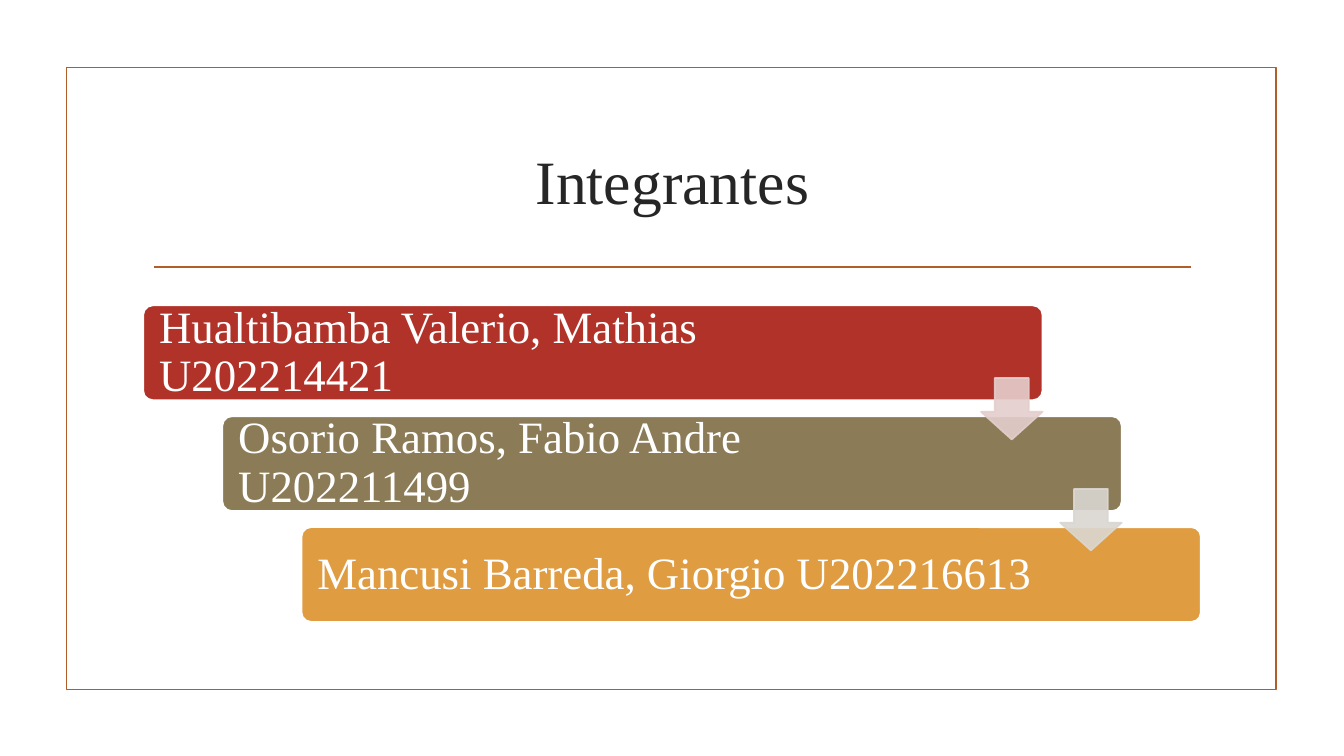
from dataclasses import dataclass

import lxml.etree
import pptx
import pptx.dml.color
import pptx.enum.shapes
import pptx.enum.text
import pptx.oxml.ns
import pptx.presentation
import pptx.shapes.autoshape
import pptx.slide
import pptx.text.text
import pptx.util

Inches = pptx.util.Inches
Pt = pptx.util.Pt
Shapes = pptx.enum.shapes.MSO_SHAPE
Align = pptx.enum.text.PP_ALIGN
FONT = "Times New Roman"
RUST = "B15E28"
WHITE = "FFFFFF"
LINE_WIDTH = 1.25
STEP_X, STEP_Y = 0.785, 1.1
TEXT_INSET = 0.13


@dataclass(frozen=True)
class Member:
    label: str
    fill: str
    right_inset: float


MEMBERS = [
    Member("Hualtibamba Valerio, Mathias U202214421", "B13228", 1.09),
    Member("Osorio Ramos, Fabio Andre U202211499", "8B7B56", 1.53),
    Member("Mancusi Barreda, Giorgio U202216613", "E09C41", 1.53),
]
ARROW_COLOURS = ["E4CECD", "DAD7D1"]


def rgb(value: str) -> pptx.dml.color.RGBColor:
    return pptx.dml.color.RGBColor.from_string(value)


def add_box(
    page: pptx.slide.Slide,
    kind: Shapes,
    place: tuple[float, float, float, float],
    fill: str | None,
    line: str,
    adjustments: tuple[float, ...] = (),
) -> pptx.shapes.autoshape.Shape:
    box = page.shapes.add_shape(kind, *(Inches(length) for length in place))
    box.shadow.inherit = False
    if fill is None:
        box.fill.background()
    else:
        box.fill.solid()
        box.fill.fore_color.rgb = rgb(fill)
    box.line.color.rgb = rgb(line)
    box.line.width = Pt(LINE_WIDTH)
    for index, value in enumerate(adjustments):
        box.adjustments[index] = value
    return box


def style_text(para: pptx.text.text._Paragraph, size: float, colour: str, align: Align) -> None:
    para.alignment = align
    para.font.name = FONT
    para.font.size = Pt(size)
    para.font.color.rgb = rgb(colour)


def add_title(page: pptx.slide.Slide) -> None:
    title = page.shapes.title
    title.left, title.top = Inches(1.42), Inches(1.07)
    title.width, title.height = Inches(10.5), Inches(1.43)
    title.text_frame.text = "Integrantes"
    title.text_frame.vertical_anchor = pptx.enum.text.MSO_ANCHOR.MIDDLE
    style_text(title.text_frame.paragraphs[0], 44, "262626", Align.CENTER)


def add_rule(page: pptx.slide.Slide) -> None:
    rule = page.shapes.add_connector(
        pptx.enum.shapes.MSO_CONNECTOR.STRAIGHT,
        Inches(1.53), Inches(2.65), Inches(11.81), Inches(2.65),
    )
    rule.line.color.rgb = rgb(RUST)
    rule.line.width = Pt(LINE_WIDTH)
    lxml.etree.SubElement(rule._element.spPr, pptx.oxml.ns.qn("a:effectLst"))


def add_member(page: pptx.slide.Slide, member: Member, index: int) -> None:
    place = (1.42 + index * STEP_X, 3.03 + index * STEP_Y, 8.92, 0.94)
    box = add_box(page, Shapes.ROUNDED_RECTANGLE, place, member.fill, WHITE, (0.1,))
    frame = box.text_frame
    frame.word_wrap = True
    frame.vertical_anchor = pptx.enum.text.MSO_ANCHOR.MIDDLE
    frame.margin_left = frame.margin_top = frame.margin_bottom = Inches(TEXT_INSET)
    frame.margin_right = Inches(member.right_inset)
    frame.text = member.label
    para = frame.paragraphs[0]
    para.line_spacing = 0.9
    style_text(para, 32, WHITE, Align.LEFT)


def add_arrow(page: pptx.slide.Slide, colour: str, index: int) -> None:
    place = (9.73 + index * STEP_X, 3.75 + index * STEP_Y, 0.61, 0.61)
    arrow = add_box(page, Shapes.DOWN_ARROW, place, colour, colour, (0.55, 0.45))
    for paint in arrow._element.spPr.iter(pptx.oxml.ns.qn("a:srgbClr")):
        lxml.etree.SubElement(paint, pptx.oxml.ns.qn("a:alpha"), val="90000")


def main() -> None:
    deck = pptx.Presentation()
    deck.slide_width, deck.slide_height = Inches(13.33), Inches(7.5)
    page = deck.slides.add_slide(deck.slide_layouts.get_by_name("Title Only"))
    add_box(page, Shapes.RECTANGLE, (0.66, 0.67, 12, 6.17), None, RUST)
    add_rule(page)
    add_title(page)
    for index, member in enumerate(MEMBERS):
        add_member(page, member, index)
    for index, colour in enumerate(ARROW_COLOURS):
        add_arrow(page, colour, index)
    deck.save("out.pptx")


if __name__ == "__main__":
    main()
